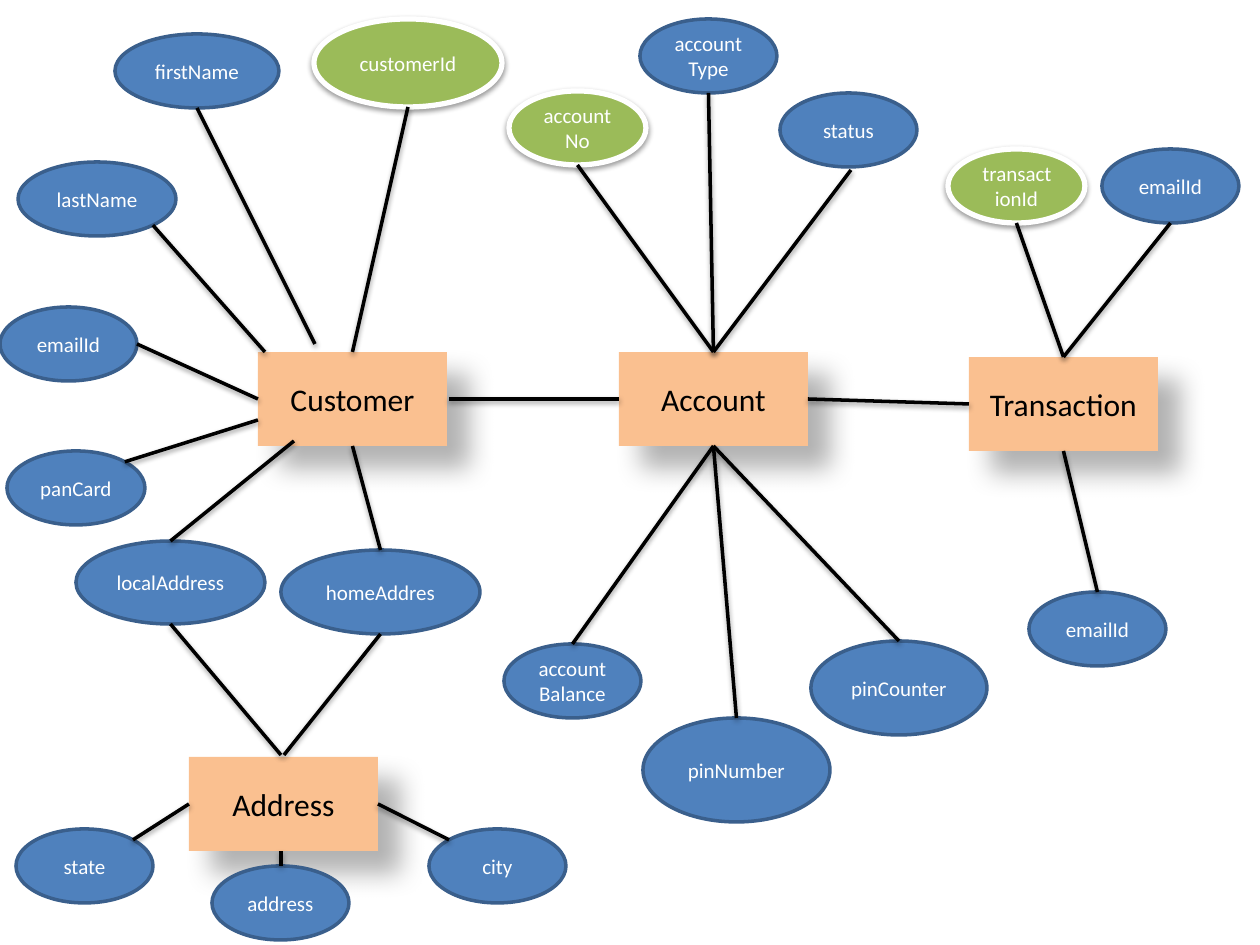
from lxml.etree import SubElement
from pptx import Presentation
from pptx.dml.color import RGBColor
from pptx.enum.shapes import MSO_CONNECTOR, MSO_SHAPE
from pptx.enum.text import MSO_ANCHOR, PP_ALIGN
from pptx.oxml.ns import qn
from pptx.util import Emu, Pt

SCALE = 914400 // 126
FONT = "Calibri"
BLACK = RGBColor(0x00, 0x00, 0x00)
WHITE = RGBColor(0xFF, 0xFF, 0xFF)
ORANGE = RGBColor(0xFA, 0xC0, 0x90)
BLUE = RGBColor(0x4F, 0x81, 0xBD)
DARK_BLUE = RGBColor(0x3A, 0x5F, 0x8C)
GREEN = RGBColor(0x9B, 0xBB, 0x59)

# Opacity in percent, blur and distance in points, angle in degrees
DEEP_SHADOW = (30, 15, 18, 45)
SOFT_SHADOW = (38, 3.1, 1.6, 90)

ENTITY_SIZE = (189, 94)
OVAL_SIZE = (137, 74)

# Name: left, top
ENTITIES = {
    "Customer": (258, 352),
    "Account": (619, 352),
    "Transaction": (969, 357),
    "Address": (189, 757),
}

# Key: label, left, top, and a size where it is not the usual one
ATTRIBUTES = {
    "first name": ("firstName", 115, 34, 164, 74),
    "pan card": ("panCard", 7, 451, 138, 74),
    "customer email": ("emailId", 0, 307),
    "last name": ("lastName", 18, 162, 158, 74),
    "local address": ("localAddress", 76, 541, 189, 83),
    "home address": ("homeAddres", 281, 550, 199, 84),
    "pin counter": ("pinCounter", 811, 641, 176, 94),
    "pin number": ("pinNumber", 643, 718, 187, 104),
    "balance": ("accountBalance", 504, 644),
    "status": ("status", 780, 93),
    "account type": ("accountType", 640, 19),
    "lower email": ("emailId", 1029, 592),
    "upper email": ("emailId", 1102, 149),
    "address line": ("address", 212, 866),
    "city": ("city", 429, 829),
    "state": ("state", 16, 829),
}
KEYS = {
    "customer id": ("customerId", 314, 19, 188, 88),
    "account number": ("accountNo", 509, 91),
    "transaction id": ("transactionId", 948, 149),
}

# Position of each anchor as a share of width and height
DIAGONAL = 0.354
ANCHORS = {
    "top": (0.5, 0),
    "bottom": (0.5, 1),
    "left": (0, 0.5),
    "right": (1, 0.5),
    "upper left": (0.5 - DIAGONAL, 0.5 - DIAGONAL),
    "upper right": (0.5 + DIAGONAL, 0.5 - DIAGONAL),
    "lower right": (0.5 + DIAGONAL, 0.5 + DIAGONAL),
}

# Each end is a shape with an anchor, or a free point
LINKS = [
    (("Customer", "top"), ("customer id", "bottom")),
    ((315, 344), ("first name", "bottom")),
    ((265, 352), ("last name", "lower right")),
    (("Customer", "left"), ("customer email", "right")),
    (("Customer", "bottom"), ("home address", "top")),
    ((294, 441), ("local address", "top")),
    ((258, 420), ("pan card", "upper right")),
    (("account number", "bottom"), ("Account", "top")),
    (("account type", "bottom"), ("Account", "top")),
    ((851, 170), ("Account", "top")),
    (("balance", "top"), ("Account", "bottom")),
    (("pin number", "top"), ("Account", "bottom")),
    (("Account", "bottom"), ("pin counter", "top")),
    (("Transaction", "top"), ("upper email", "bottom")),
    (("transaction id", "bottom"), ("Transaction", "top")),
    (("Transaction", "bottom"), ("lower email", "top")),
    ((281, 755), ("local address", "bottom")),
    ((284, 755), ("home address", "bottom")),
    ((281, 866), (281, 851)),
    (("state", "upper right"), ("Address", "left")),
    (("Address", "right"), ("city", "upper left")),
    ((449, 399), ("Account", "left")),
    (("Account", "right"), ("Transaction", "left")),
]


def px(value):
    """Turn pixels into EMU."""
    return Emu(round(value * SCALE))


def add_shadow(properties, opacity, blur, distance, angle):
    """Give shape properties a black outer shadow."""
    effects = properties.find(qn("a:effectLst"))
    if effects is None:
        effects = SubElement(properties, qn("a:effectLst"))
    shadow = SubElement(effects, qn("a:outerShdw"), blurRad=str(Pt(blur)),
                        dist=str(Pt(distance)), dir=str(angle * 60000),
                        algn="ctr", rotWithShape="0")
    color = SubElement(shadow, qn("a:srgbClr"), val=str(BLACK))
    SubElement(color, qn("a:alpha"), val=str(opacity * 1000))


def add_node(page, kind, box, label, fill, size, color):
    """Add a filled shape with a centred label."""
    node = page.shapes.add_shape(kind, *map(px, box))
    node.shadow.inherit = False
    node.fill.solid()
    node.fill.fore_color.rgb = fill
    node.line.fill.background()
    frame = node.text_frame
    frame.word_wrap = True
    frame.vertical_anchor = MSO_ANCHOR.MIDDLE
    frame.text = label
    para = frame.paragraphs[0]
    para.alignment = PP_ALIGN.CENTER
    font = para.runs[0].font
    font.name, font.size, font.color.rgb = FONT, Pt(size), color
    return node


def add_entity(page, name, left, top):
    """Add an entity rectangle with a deep shadow."""
    entity = add_node(page, MSO_SHAPE.RECTANGLE, (left, top, *ENTITY_SIZE),
                      name, ORANGE, 18, BLACK)
    add_shadow(entity.element.spPr, *DEEP_SHADOW)
    return entity


def add_attribute(page, label, left, top, *size, is_key=False):
    """Add an attribute oval, green and shadowed when it is a key."""
    oval = add_node(page, MSO_SHAPE.OVAL, (left, top, *(size or OVAL_SIZE)),
                    label, GREEN if is_key else BLUE, 12, WHITE)
    oval.line.color.rgb = WHITE if is_key else DARK_BLUE
    oval.line.width = Pt(3 if is_key else 2)
    if is_key:
        add_shadow(oval.element.spPr, *SOFT_SHADOW)
    return oval


def locate(nodes, end):
    """Return the EMU point of a link end."""
    first, second = end
    if first not in nodes:
        return px(first), px(second)
    node = nodes[first]
    across, down = ANCHORS[second]
    return (Emu(round(node.left + across * node.width)),
            Emu(round(node.top + down * node.height)))


def add_link(page, nodes, start, end):
    """Draw a straight black line between two ends."""
    link = page.shapes.add_connector(
        MSO_CONNECTOR.STRAIGHT, *locate(nodes, start), *locate(nodes, end))
    link.line.color.rgb = BLACK
    link.line.width = Pt(2)
    add_shadow(link.element.spPr, *SOFT_SHADOW)


def main():
    """Build the entity relationship diagram."""
    deck = Presentation()
    deck.slide_width, deck.slide_height = px(1260), px(945)
    page = deck.slides.add_slide(deck.slide_layouts[6])
    nodes = {}
    for name, place in ENTITIES.items():
        nodes[name] = add_entity(page, name, *place)
    for key, details in ATTRIBUTES.items():
        nodes[key] = add_attribute(page, *details)
    for key, details in KEYS.items():
        nodes[key] = add_attribute(page, *details, is_key=True)
    for start, end in LINKS:
        add_link(page, nodes, start, end)
    deck.save("out.pptx")


main()
